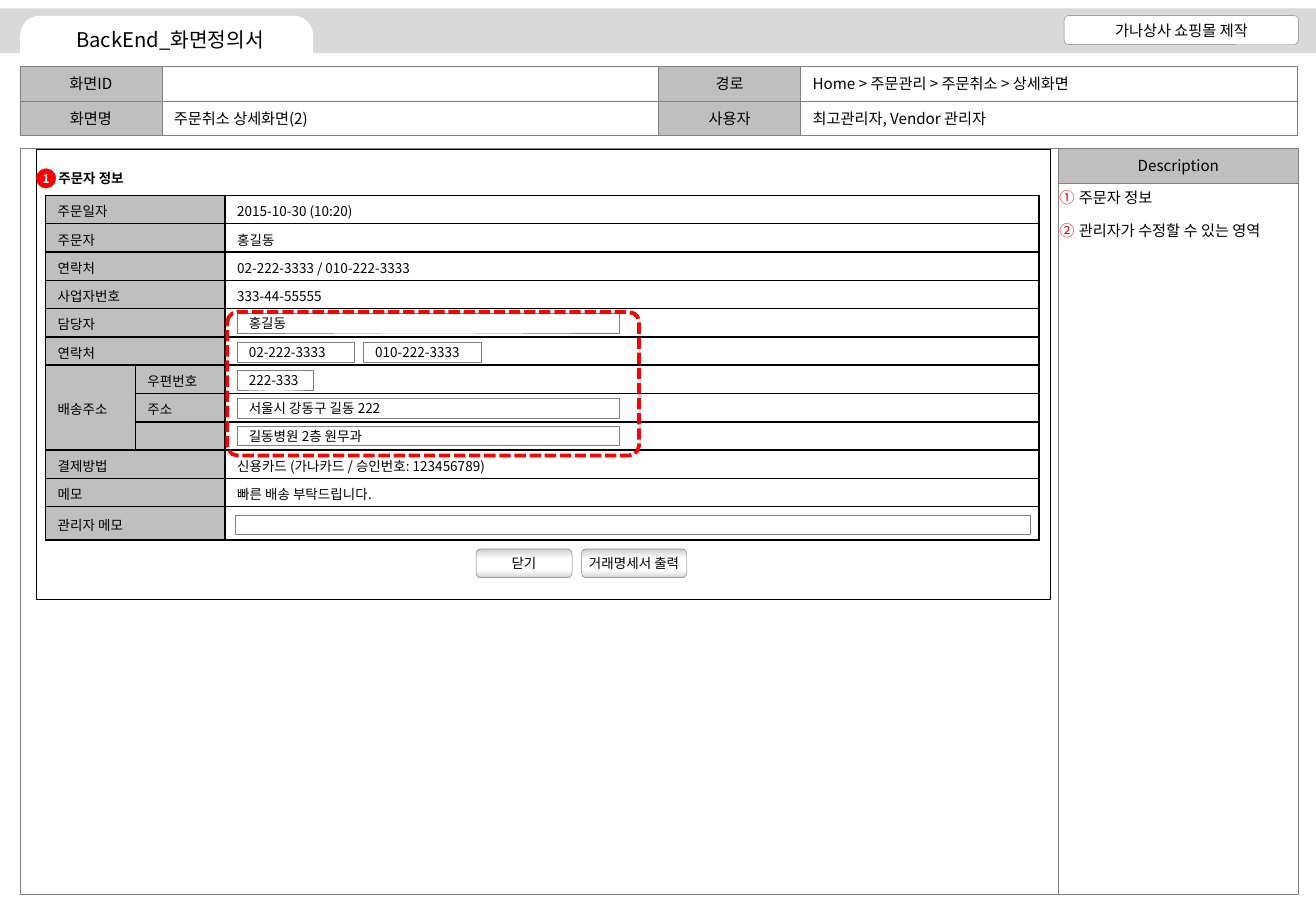
from lxml.etree import SubElement
from pptx import Presentation
from pptx.dml.color import RGBColor
from pptx.enum.dml import MSO_LINE
from pptx.enum.shapes import MSO_SHAPE
from pptx.enum.text import MSO_ANCHOR, PP_ALIGN
from pptx.oxml.ns import qn
from pptx.util import Pt

FONT = "Noto Sans CJK KR"
COLORS = {"black": "000000", "white": "FFFFFF", "red": "FF0000",
          "line": "808080", "label": "BFBFBF", "band": "D9D9D9"}
SHEEN = [(0, "BFBFBF"), (8, "D9D9D9"), (34, "FFFFFF"),
         (74, "FFFFFF"), (93, "DDE1E7"), (100, "CCCCCC")]
ROUND = MSO_SHAPE.ROUNDED_RECTANGLE


def tint(name):
    """Return the named colour."""
    return RGBColor.from_string(COLORS[name])


class Page:
    """Holds the style and the current slide."""

    def __init__(self, slide):
        """Keep the slide to draw on."""
        self.slide = slide

    def style(self, frame, size, color="black", bold=False, align=PP_ALIGN.LEFT):
        """Format every run in a text frame."""
        for para in frame.paragraphs:
            para.alignment = align
            for run in para.runs:
                font = run.font
                font.size, font.bold, font.name = Pt(size), bold, FONT
                font.color.rgb = tint(color)
                SubElement(font._element, qn("a:ea"), typeface=FONT)

    def shape(self, rect, text="", kind=MSO_SHAPE.RECTANGLE, fill=None, line="line",
              width=0.25, size=9, align=PP_ALIGN.CENTER, inset=0, **font):
        """Draw a preset shape with centred or left text."""
        item = self.slide.shapes.add_shape(kind, *map(Pt, rect))
        item.shadow.inherit = False
        if fill:
            item.fill.solid()
            item.fill.fore_color.rgb = tint(fill)
        else:
            item.fill.background()
        if line:
            item.line.color.rgb = tint(line)
            item.line.width = Pt(width)
        else:
            item.line.fill.background()
        if text:
            frame = item.text_frame
            frame.text = text
            frame.vertical_anchor = MSO_ANCHOR.MIDDLE
            frame.margin_left = frame.margin_right = Pt(inset)
            frame.margin_top = frame.margin_bottom = 0
            self.style(frame, size, align=align, **font)
        return item

    def field(self, rect, text="", size=8):
        """Draw a box with left text."""
        return self.shape(rect, text, size=size, align=PP_ALIGN.LEFT, inset=7.2)

    def button(self, rect, text):
        """Draw a rounded button with a sheen."""
        item = self.shape(rect, text, ROUND, size=8)
        item.fill.gradient()
        item.fill.gradient_angle = 270
        stops = item._element.spPr.find(qn("a:gradFill")).find(qn("a:gsLst"))
        for stop in list(stops):
            stops.remove(stop)
        for spot, color in SHEEN:
            stop = SubElement(stops, qn("a:gs"), pos=str(spot * 1000))
            SubElement(stop, qn("a:srgbClr"), val=color)

    def text(self, rect, text, size, wrap=False, **font):
        """Add a text box without insets."""
        frame = self.slide.shapes.add_textbox(*map(Pt, rect)).text_frame
        frame.margin_left = frame.margin_right = 0
        frame.margin_top = frame.margin_bottom = 0
        frame.word_wrap = wrap
        frame.text = text
        self.style(frame, size, **font)
        return frame

    def notes(self, rect, items):
        """Add a list with red circled numbers."""
        frame = self.text(rect, "\n".join(items), 9, wrap=True)
        for index, para in enumerate(frame.paragraphs):
            para.space_before = Pt(9 if index else 0)
            props = para._p.get_or_add_pPr()
            props.set("marL", str(Pt(11.5)))
            props.set("indent", str(-Pt(11.5)))
            color = SubElement(props, qn("a:buClr"))
            SubElement(color, qn("a:srgbClr"), val=COLORS["red"])
            SubElement(props, qn("a:buAutoNum"), type="circleNumDbPlain")

    def cell(self, cell, text, fill):
        """Fill, border and write one table cell."""
        cell.margin_top, cell.margin_bottom = Pt(1.5), 0
        cell.vertical_anchor = MSO_ANCHOR.MIDDLE
        cell.text = text
        self.style(cell.text_frame, 8)
        if not text:
            para = cell.text_frame.paragraphs[0]._p
            SubElement(para, qn("a:endParaRPr"), sz="800")
        props = cell._tc.get_or_add_tcPr()
        for side in ("lnL", "lnR", "lnT", "lnB"):
            edge = SubElement(props, qn("a:" + side), w=str(Pt(1)))
            solid = SubElement(edge, qn("a:solidFill"))
            SubElement(solid, qn("a:srgbClr"), val=COLORS["black"])
        cell.fill.solid()
        cell.fill.fore_color.rgb = tint(fill)

    def table(self, left, top, cols, highs, rows):
        """Build the order table and join its label cells."""
        table = self.slide.shapes.add_table(
            len(rows), len(cols), Pt(left), Pt(top),
            Pt(sum(cols)), Pt(sum(highs))).table
        for col, wide in zip(table.columns, cols):
            col.width = Pt(wide)
        for row, high in zip(table.rows, highs):
            row.height = Pt(high)
        for y, row in enumerate(rows):
            for x, text in enumerate(row):
                self.cell(table.cell(y, x), text, "white" if x == 2 else "label")
            if y not in ADDRESS:
                table.cell(y, 0).merge(table.cell(y, 1))
        table.cell(ADDRESS[0], 0).merge(table.cell(ADDRESS[-1], 0))


ADDRESS = range(6, 9)
ORDER = [
    ("주문일자", "", "2015-10-30 (10:20)"),
    ("주문자", "", "홍길동"),
    ("연락처", "", "02-222-3333 / 010-222-3333"),
    ("사업자번호", "", "333-44-55555"),
    ("담당자", "", ""),
    ("연락처", "", ""),
    ("배송주소", "우편번호", ""),
    ("", "주소", ""),
    ("", "", ""),
    ("결제방법", "", "신용카드 (가나카드 / 승인번호: 123456789)"),
    ("메모", "", "빠른 배송 부탁드립니다."),
    ("관리자 메모", "", ""),
]
HEAD = [
    [("화면ID", ""), ("경로", "Home > 주문관리 > 주문취소 > 상세화면")],
    [("화면명", "주문취소 상세화면(2)"), ("사용자", "최고관리자, Vendor 관리자")],
]
FIELDS = [
    (140.4, 185.8, 226.8, "홍길동"),
    (140.4, 203, 69.8, "02-222-3333"),
    (215.3, 203, 69.8, "010-222-3333"),
    (140.4, 219.6, 45.4, "222-333"),
    (140.4, 236.2, 226.8, "서울시 강동구 길동 222"),
    (140.4, 252.7, 226.8, "길동병원 2층 원무과"),
    (139.5, 305.3, 471, ""),
]

deck = Presentation()
deck.slide_width, deck.slide_height = Pt(780), Pt(540)
page = Page(deck.slides.add_slide(deck.slide_layouts[6]))

# Title band
page.shape((0, 5, 780, 26.6), fill="band", line=None)
tab = page.shape((12, 9.4, 173.5, 22.3), kind=MSO_SHAPE.ROUND_2_SAME_RECTANGLE,
                 fill="white", line=None)
tab.adjustments[0] = 0.5
page.shape((21.6, 15, 158.4, 17), "BackEnd_화면정의서", ROUND, "white", None, size=12)
page.shape((630.7, 9.2, 139, 17.2), "가나상사 쇼핑몰 제작", ROUND, "white")

# Screen facts
for y, pairs in enumerate(HEAD):
    for x, (label, value) in enumerate(pairs):
        left, top = 11.8 + 378.6 * x, 39.5 + 20.4 * y
        page.shape((left, top, 84.2, 20.4), label, fill="label")
        page.field((left + 84.2, top, 294.4, 20.4), value, 9)

# Frames and description
page.shape((12, 88, 615.4, 442))
page.shape((627.4, 88, 142, 20.5), "Description", fill="label")
page.shape((627.4, 108.5, 142, 421.5))
page.notes((628, 111.6, 141.4, 418), ["주문자 정보", "관리자가 수정할 수 있는 영역"])

# Order form
page.shape((21.6, 88.6, 601, 266.6), fill="white", line="black")
page.text((34.6, 101, 50, 12), "주문자 정보", 8, bold=True)
page.table(27, 115.8, (53.2, 53.2, 482.4), [16.8] * 11 + [19.6], ORDER)
for left, top, wide, text in FIELDS:
    page.field((left, top, wide, 11.5), text)
page.button((282.2, 325.4, 56.9, 17), "닫기")
page.button((344.7, 325.4, 62.4, 17), "거래명세서 출력")

# Marks
page.shape((21.6, 100, 11.5, 11.5), "1", MSO_SHAPE.OVAL, "red", "red",
           size=7, color="white", bold=True)
zone = page.shape((134.8, 185, 244, 85), kind=ROUND, line="red", width=2.25)
zone.adjustments[0] = 0.07
zone.line.dash_style = MSO_LINE.SQUARE_DOT

deck.save("out.pptx")
